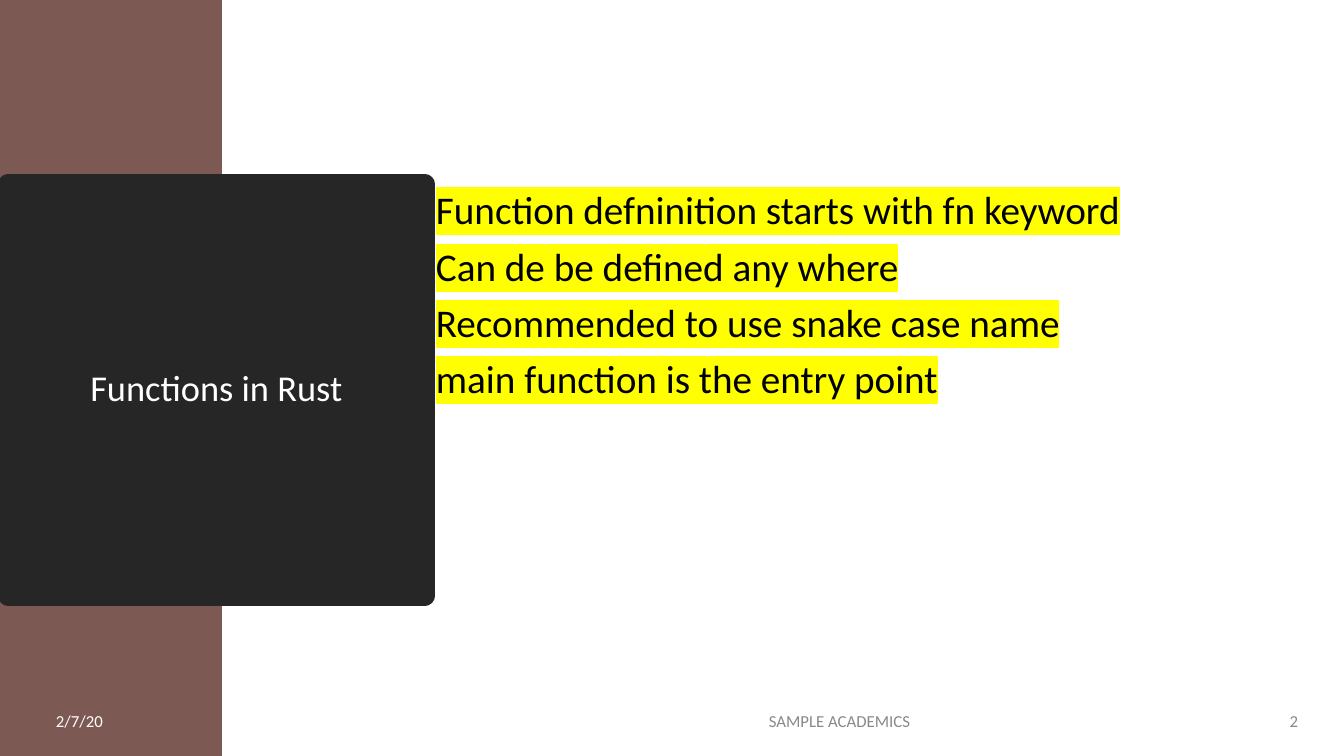
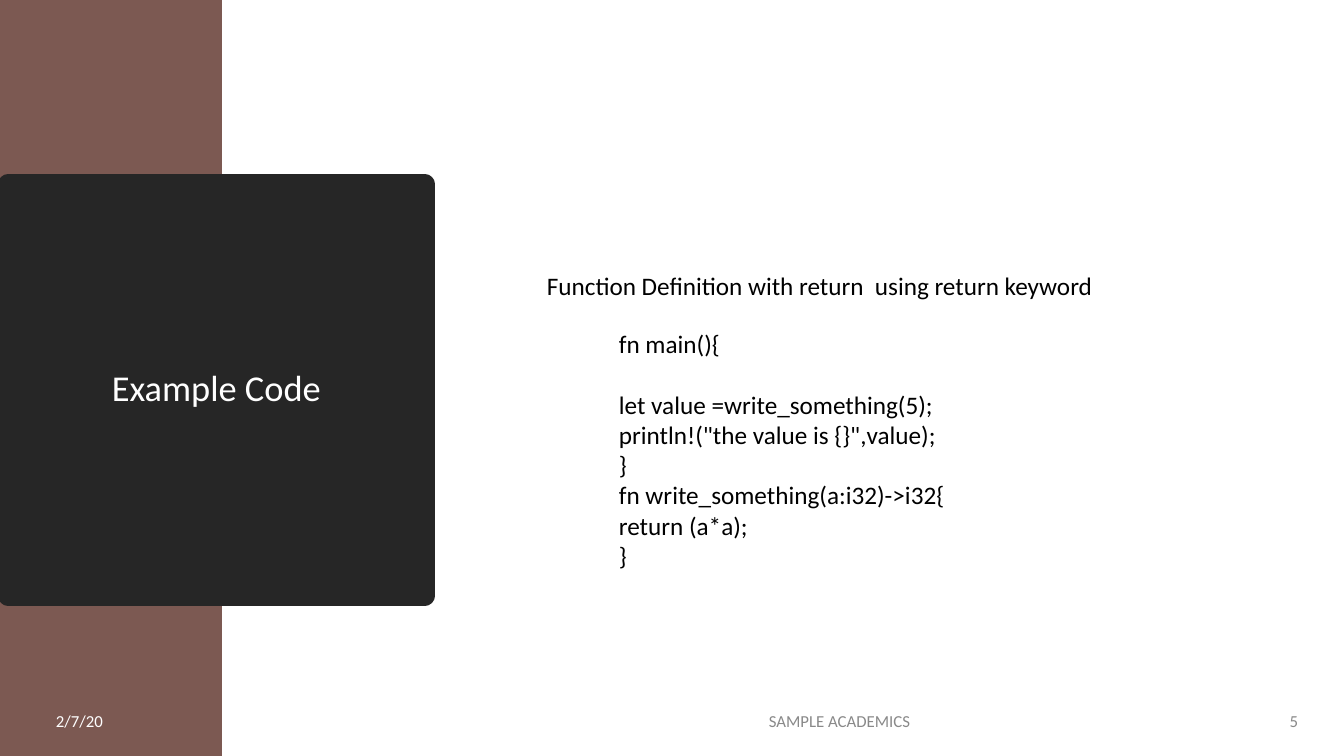
import dataclasses
import typing

import lxml.etree
import pptx
import pptx.dml.color
import pptx.enum.shapes
import pptx.enum.text
import pptx.oxml.ns
import pptx.util

RGB = pptx.dml.color.RGBColor
ALIGN = pptx.enum.text.PP_ALIGN
ANCHOR = pptx.enum.text.MSO_ANCHOR
Pt = pptx.util.Pt
qn = pptx.oxml.ns.qn

# Shared look
WHITE = RGB(0xFF, 0xFF, 0xFF)
BLACK = RGB(0x00, 0x00, 0x00)
BROWN = RGB(0x7C, 0x59, 0x52)
DARK = RGB(0x26, 0x26, 0x26)
GREY = RGB(0x89, 0x89, 0x89)
YELLOW = RGB(0xFF, 0xFF, 0x00)
FONT = "Calibri"
WIDE, HIGH = 1344, 756
DENSITY = 100.8  # px to the inch


@dataclasses.dataclass(frozen=True)
class Box:
    left: int
    top: int
    width: int
    height: int


@dataclasses.dataclass(frozen=True)
class Style:
    size: int
    color: RGB = BLACK
    align: ALIGN = ALIGN.LEFT
    anchor: ANCHOR = ANCHOR.TOP
    leading: float = 1.0
    before: int = 0
    mark: typing.Optional[RGB] = None
    wrap: bool = True


@dataclasses.dataclass(frozen=True)
class Label:
    box: Box
    text: str
    style: Style


@dataclasses.dataclass(frozen=True)
class Page:
    title: str
    number: int
    labels: tuple[Label, ...]
    gaps: dict[int, int] = dataclasses.field(default_factory=dict)


BAND = Box(0, 0, 222, HIGH)
PANEL = Box(8, 184, 417, 412)
TITLE = Style(26, WHITE, ALIGN.CENTER, ANCHOR.MIDDLE, 0.9)
BODY = Style(28, leading=0.9, before=10, mark=YELLOW)
LEAD = Style(18)
CODE = Style(18, wrap=False)


def px(count: int) -> pptx.util.Emu:
    return pptx.util.Emu(round(count * 914400 / DENSITY))


def place(box: Box) -> tuple[pptx.util.Emu, ...]:
    return tuple(px(side) for side in dataclasses.astuple(box))


def highlight(run, color: RGB) -> None:
    mark = lxml.etree.Element(qn("a:highlight"))
    lxml.etree.SubElement(mark, qn("a:srgbClr"), val=str(color))
    run.font.fill._xPr.find(qn("a:solidFill")).addnext(mark)


def write(shape, text: str, style: Style) -> None:
    frame = shape.text_frame
    frame.text = text
    frame.word_wrap = style.wrap
    frame.vertical_anchor = style.anchor
    for index, para in enumerate(frame.paragraphs):
        para.alignment = style.align
        para.line_spacing = style.leading
        para.space_before = Pt(style.before if index else 0)
        for run in para.runs:
            run.font.name = FONT
            run.font.size = Pt(style.size)
            run.font.color.rgb = style.color
            if style.mark is not None:
                highlight(run, style.mark)


def block(slide, box: Box, fill: RGB):
    kind = pptx.enum.shapes.MSO_SHAPE.RECTANGLE
    shape = slide.shapes.add_shape(kind, *place(box))
    shape.shadow.inherit = False
    shape.fill.solid()
    shape.fill.fore_color.rgb = fill
    shape.line.fill.background()
    return shape


def label(slide, item: Label):
    shape = slide.shapes.add_textbox(*place(item.box))
    write(shape, item.text, item.style)
    return shape


def frame(slide, page: Page) -> None:
    # Side band and title panel with a thick, round-cornered edge
    block(slide, BAND, BROWN)
    panel = block(slide, PANEL, DARK)
    panel.line.color.rgb = DARK
    panel.line.width = Pt(13.75)
    edge = panel.line._get_or_add_ln()
    lxml.etree.SubElement(edge, qn("a:round"))
    write(panel, page.title, TITLE)

    # Footer row
    for left, width, text, color, align in (
        (46, 163, "2/7/20", WHITE, ALIGN.LEFT),
        (452, 775, "SAMPLE ACADEMICS", GREY, ALIGN.CENTER),
        (1247, 61, str(page.number), GREY, ALIGN.RIGHT),
    ):
        style = Style(12, color, align, ANCHOR.MIDDLE)
        label(slide, Label(Box(left, 701, width, 40), text, style))


# Content
POINTS = """Function defninition starts with fn keyword
Can de be defined any where
Recommended to use snake case name
main function is the entry point"""

SOURCE = """fn main(){
let value =write_something(5);
println!("the value is {}",value);
}
fn write_something(a:i32)->i32{
return (a*a);
}"""

PAGES = (
    Page("Functions in Rust", 2, (
        Label(Box(426, 186, 882, 387), POINTS, BODY),
    )),
    Page("Example Code", 5, (
        Label(Box(537, 265, 671, 40),
              "Function Definition with return  using return keyword", LEAD),
        Label(Box(609, 323, 350, 285), SOURCE, CODE),
    ), gaps={1: 22}),
)


def main() -> None:
    deck = pptx.Presentation()
    deck.slide_width, deck.slide_height = px(WIDE), px(HIGH)
    for page in PAGES:
        slide = deck.slides.add_slide(deck.slide_layouts[6])
        frame(slide, page)
        for item in page.labels:
            shape = label(slide, item)
        # Extra space before chosen lines of the last label
        for index, gap in page.gaps.items():
            shape.text_frame.paragraphs[index].space_before = Pt(gap)
    deck.save("out.pptx")


if __name__ == "__main__":
    main()
